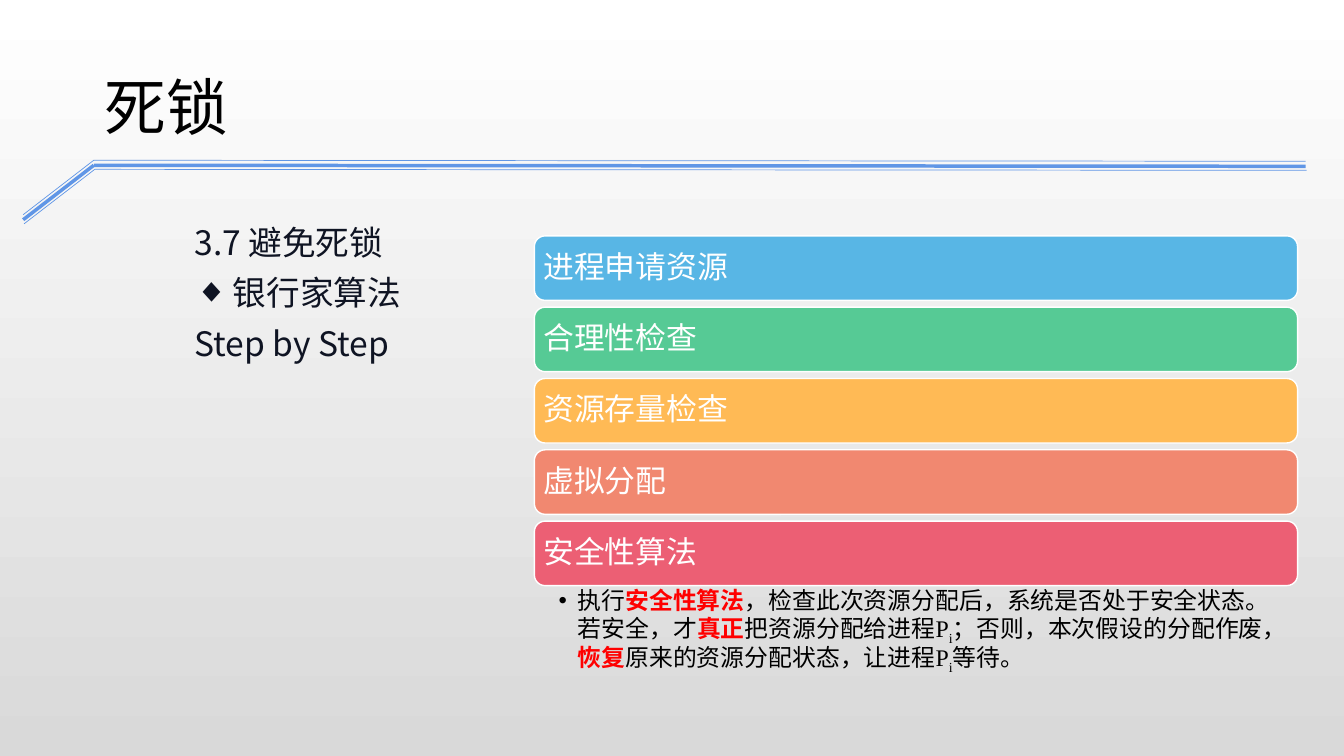
from pptx import Presentation
from pptx.dml.color import RGBColor
from pptx.enum.shapes import MSO_CONNECTOR, MSO_SHAPE
from pptx.enum.text import MSO_ANCHOR, MSO_AUTO_SIZE, PP_ALIGN
from pptx.oxml.ns import qn
from pptx.util import Inches, Pt
from lxml import etree

STRAIGHT = MSO_CONNECTOR.STRAIGHT
ROUNDED = MSO_SHAPE.ROUNDED_RECTANGLE
TOP, MIDDLE = MSO_ANCHOR.TOP, MSO_ANCHOR.MIDDLE
LEFT, JUSTIFY = PP_ALIGN.LEFT, PP_ALIGN.JUSTIFY

THEME = {
    "cjk": "Noto Sans CJK JP", "bar_font": "Arial", "detail_font": "Times New Roman",
    "title": 44, "body": 24, "bar": 22, "detail": 17,
    "black": "000000", "ink": "0F1423", "white": "FFFFFF", "red": "FF0000",
    "rule": "6096E6", "fade": "D9D9D9",
}


def color(value):
    return RGBColor.from_string(value)


def write(paragraph, runs, *, size, font, ink, align=LEFT, spacing=1.0,
          bullet=None, indent=0):
    """Fill a paragraph with (text, style) runs; style is "", "key" or "sub"."""
    properties = paragraph._p.get_or_add_pPr()
    properties.set("marL", str(Inches(indent)))
    properties.set("indent", str(-Inches(indent)))
    if bullet:
        etree.SubElement(properties, qn("a:buFont"), typeface=THEME["bar_font"])
        etree.SubElement(properties, qn("a:buChar"), char=bullet)
    else:
        etree.SubElement(properties, qn("a:buNone"))
    paragraph.alignment = align
    paragraph.line_spacing = spacing
    paragraph.space_before = paragraph.space_after = Pt(0)
    for text, style in runs:
        run = paragraph.add_run()
        run.text = text
        run.font.size = Pt(size)
        run.font.name = font
        run.font.bold = style == "key"
        run.font.color.rgb = color(THEME["red"] if style == "key" else ink)
        run_properties = run._r.get_or_add_rPr()
        etree.SubElement(run_properties, qn("a:ea"), typeface=THEME["cjk"])
        if style == "sub":
            run_properties.set("baseline", "-25000")


presentation = Presentation()
presentation.slide_width, presentation.slide_height = Inches(13.33), Inches(7.5)
slide = presentation.slides.add_slide(presentation.slide_layouts[1])

# Background fading downwards
background = slide.background.fill
background.gradient()
background.gradient_angle = 270
for stop, position, shade in zip(background.gradient_stops, (0, 1), ("white", "fade")):
    stop.position = position
    stop.color.rgb = color(THEME[shade])

# Bent triple rule under the title
for shift, drop, weight in ((0, 0, 0.5), (0, 0.05, 2.5), (0.01, 0.09, 0.5)):
    bends = [(0.23 + shift, 2.13 + drop), (0.93 + shift, 1.59 + drop),
             (12.95 + shift, 1.6 + drop)]
    for start, end in zip(bends, bends[1:]):
        line = slide.shapes.add_connector(STRAIGHT, *map(Inches, start + end))
        line.line.color.rgb = color(THEME["rule"])
        line.line.width = Pt(weight)
        etree.SubElement(line._element.spPr, qn("a:effectLst"))

# Title and outline
title, body = slide.shapes.title, slide.placeholders[1]
for placeholder, box in ((title, (0.94, 0.63, 9.52, 1.58)),
                         (body, (1.83, 2.05, 11.13, 0.8))):
    placeholder.left, placeholder.top, placeholder.width, placeholder.height = map(Inches, box)
    placeholder.text_frame.vertical_anchor = TOP
    placeholder.text_frame.auto_size = MSO_AUTO_SIZE.NONE
write(title.text_frame.paragraphs[0], [("死锁", "")], size=THEME["title"],
      font=THEME["cjk"], ink=THEME["black"])

outline = [("3.7 避免死锁", None, 0), ("银行家算法", "◆", 0.38), ("Step by Step", None, 0)]
for index, (text, bullet, indent) in enumerate(outline):
    frame = body.text_frame
    paragraph = frame.add_paragraph() if index else frame.paragraphs[0]
    write(paragraph, [(text, "")], size=THEME["body"], font=THEME["cjk"], ink=THEME["ink"],
          align=JUSTIFY, spacing=1.25, bullet=bullet, indent=indent)

# Stack of algorithm steps
STEP_LEFT, STEP_TOP, STEP_WIDTH, STEP_HEIGHT, STEP_PITCH = 5.3, 2.34, 7.57, 0.64, 0.7075
steps = [("进程申请资源", "58B6E5"), ("合理性检查", "56CA95"), ("资源存量检查", "FFBA55"),
         ("虚拟分配", "F18870"), ("安全性算法", "EC5F74")]
for row, (text, fill) in enumerate(steps):
    bar = slide.shapes.add_shape(ROUNDED, Inches(STEP_LEFT), Inches(STEP_TOP + row * STEP_PITCH),
                                 Inches(STEP_WIDTH), Inches(STEP_HEIGHT))
    bar.shadow.inherit = False
    bar.fill.solid()
    bar.fill.fore_color.rgb = color(fill)
    bar.line.color.rgb = color(THEME["white"])
    bar.line.width = Pt(1)
    frame = bar.text_frame
    frame.vertical_anchor = MIDDLE
    frame.margin_left = frame.margin_right = Inches(0.06)
    frame.margin_top = frame.margin_bottom = 0
    write(frame.paragraphs[0], [(text, "")], size=THEME["bar"], font=THEME["bar_font"],
          ink=THEME["white"], spacing=0.9)

# Explanation of the last step
detail = slide.shapes.add_textbox(Inches(STEP_LEFT), Inches(5.81), Inches(STEP_WIDTH), Inches(0.93))
frame = detail.text_frame
frame.word_wrap = True
frame.margin_left, frame.margin_right = Inches(0.24), Inches(0.17)
frame.margin_top = frame.margin_bottom = Inches(0.03)
explanation = [
    ("执行", ""), ("安全性算法", "key"),
    ("，检查此次资源分配后，系统是否处于安全状态。若安全，才", ""), ("真正", "key"),
    ("把资源分配给进程P", ""), ("i", "sub"), ("；否则，本次假设的分配作废，", ""),
    ("恢复", "key"), ("原来的资源分配状态，让进程P", ""), ("i", "sub"), ("等待。", ""),
]
write(frame.paragraphs[0], explanation, size=THEME["detail"], font=THEME["detail_font"],
      ink=THEME["black"], spacing=0.9, bullet="•", indent=0.19)

presentation.save("out.pptx")
